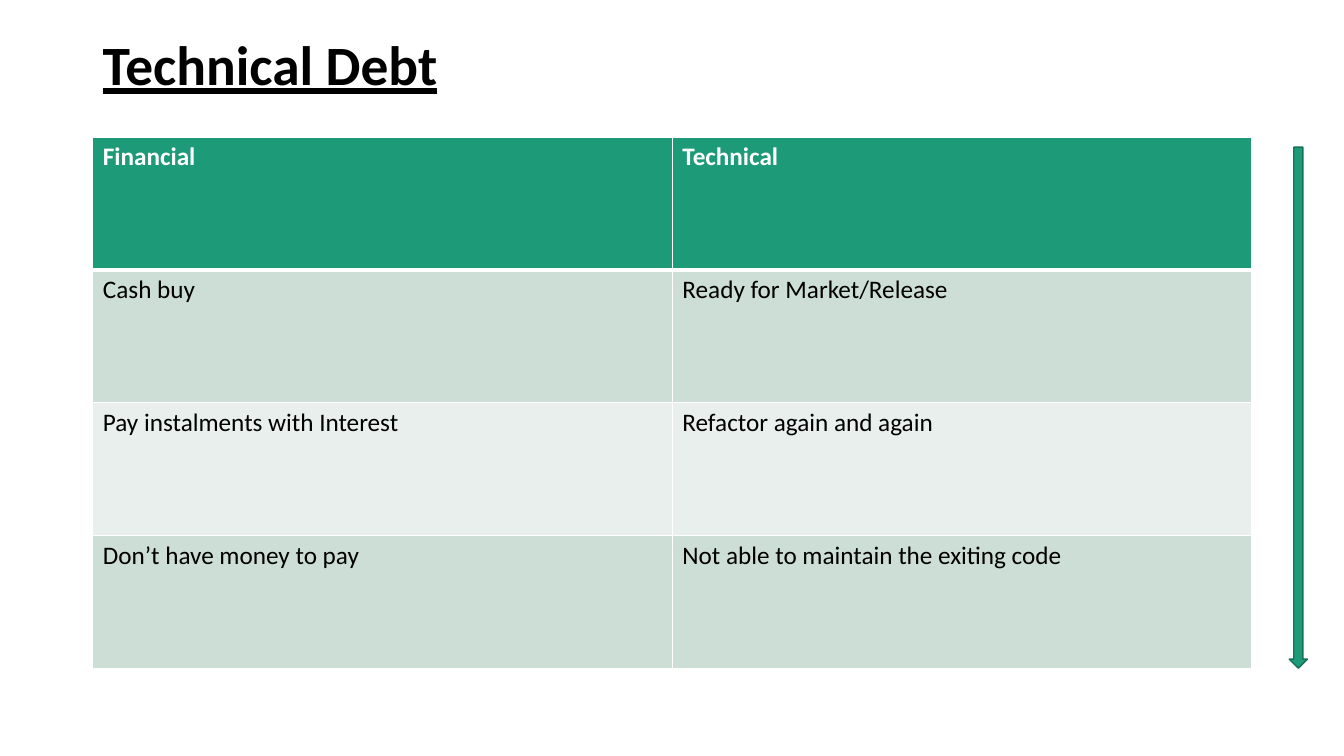
from lxml.etree import SubElement
from pptx import Presentation
from pptx.dml.color import RGBColor
from pptx.enum.shapes import MSO_SHAPE
from pptx.enum.text import MSO_ANCHOR
from pptx.oxml.ns import qn
from pptx.util import Cm, Pt

GREEN, DARK_GREEN = "1D9A78", "157259"
BLACK, WHITE = "000000", "FFFFFF"
BANDS = ("CDDED6", "E8EFEC")

COMPARISON = [
    ("Financial", "Technical"),
    ("Cash buy", "Ready for Market/Release"),
    ("Pay instalments with Interest", "Refactor again and again"),
    ("Don’t have money to pay", "Not able to maintain the exiting code"),
]


def color(value):
    return RGBColor.from_string(value)


def write(paragraph, words, ink, **formats):
    run = paragraph.add_run()
    run.text = words
    run.font.color.rgb = color(ink)
    for name, value in {"name": "Calibri", **formats}.items():
        setattr(run.font, name, value)


def add_border(cell, side, points):
    properties = cell._tc.get_or_add_tcPr()
    line = SubElement(properties, qn(f"a:ln{side}"), w=str(Pt(points)))
    SubElement(SubElement(line, qn("a:solidFill")), qn("a:srgbClr"), val=WHITE)


def add_heading(slide, left, top, width, height):
    heading = slide.shapes.add_textbox(left, top, width, height).text_frame
    heading.word_wrap = True
    heading.vertical_anchor = MSO_ANCHOR.MIDDLE
    paragraph = heading.paragraphs[0]
    paragraph.line_spacing = 0.9
    write(paragraph, "Technical Debt", BLACK, size=Pt(39.6), bold=True, underline=True)


def add_comparison(slide, left, top, width, height):
    comparison = slide.shapes.add_table(
        len(COMPARISON), len(COMPARISON[0]), left, top, width, height
    ).table
    for r, entries in enumerate(COMPARISON):
        is_header = r == 0
        fill = GREEN if is_header else BANDS[(r - 1) % 2]
        borders = {"L": 1, "R": 1, "T": 3 if r == 1 else 1, "B": 3 if is_header else 1}
        for c, entry in enumerate(entries):
            cell = comparison.cell(r, c)
            for side, points in borders.items():
                add_border(cell, side, points)
            cell.fill.solid()
            cell.fill.fore_color.rgb = color(fill)
            write(cell.text_frame.paragraphs[0], entry,
                  WHITE if is_header else BLACK, size=Pt(18), bold=is_header)


def add_progress_arrow(slide, left, top, width, height):
    arrow = slide.shapes.add_shape(MSO_SHAPE.DOWN_ARROW, left, top, width, height)
    arrow.shadow.inherit = False
    arrow.fill.solid()
    arrow.fill.fore_color.rgb = color(GREEN)
    arrow.line.color.rgb = color(DARK_GREEN)
    arrow.line.width = Pt(1)


def main():
    deck = Presentation()
    deck.slide_width, deck.slide_height = Cm(33.87), Cm(19.05)
    slide = deck.slides.add_slide(deck.slide_layouts[6])
    left, width = Cm(2.34), Cm(29.21)
    add_heading(slide, left, Cm(1.02), width, Cm(1.37))
    add_comparison(slide, left, Cm(3.45), width, Cm(13.39))
    add_progress_arrow(slide, Cm(32.49), Cm(3.71), Cm(0.46), Cm(13.13))
    deck.save("out.pptx")


if __name__ == "__main__":
    main()
